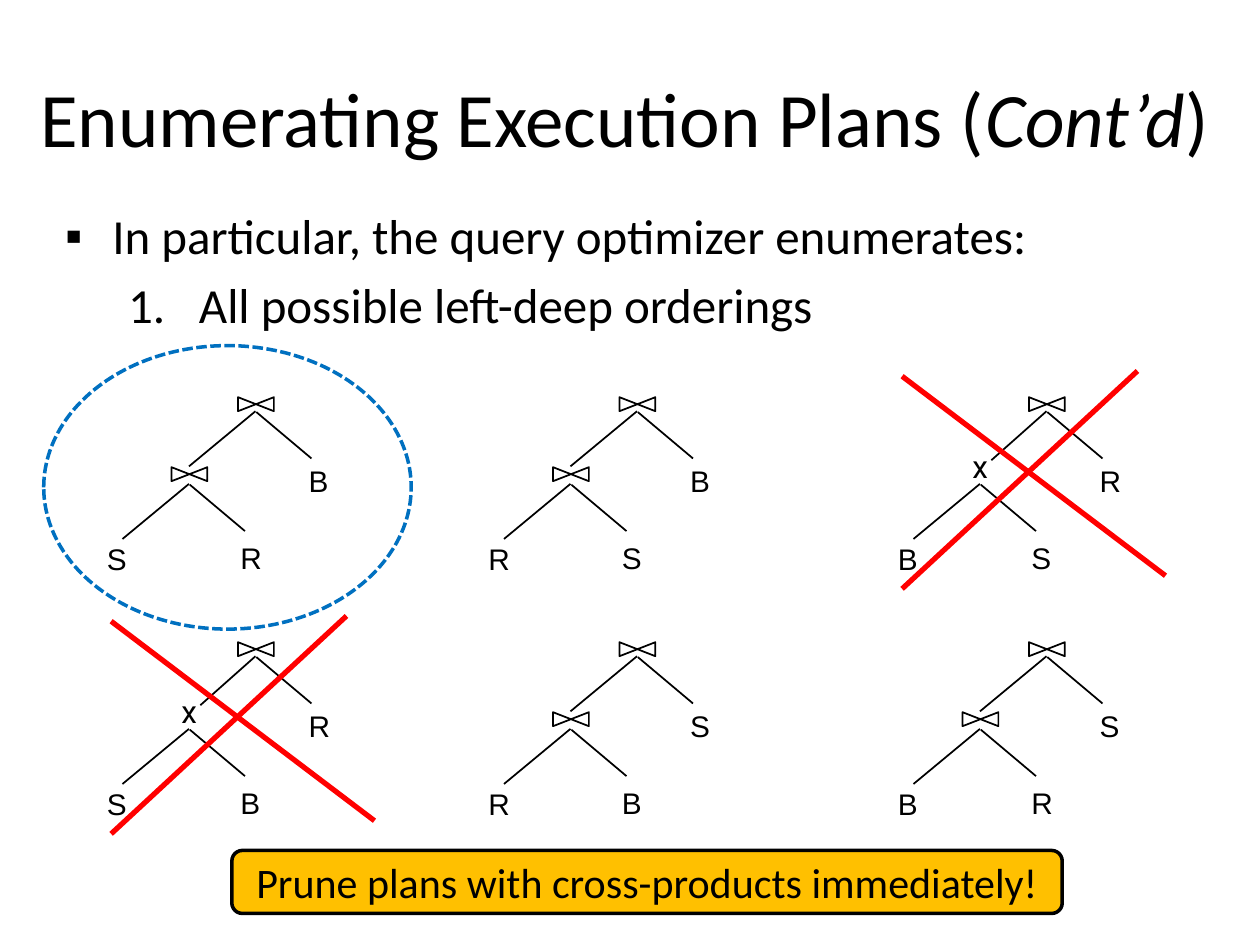
from dataclasses import dataclass

from lxml import etree
from pptx import Presentation
from pptx.dml.color import RGBColor
from pptx.enum.dml import MSO_LINE
from pptx.enum.shapes import MSO_CONNECTOR, MSO_SHAPE
from pptx.enum.text import MSO_ANCHOR, PP_ALIGN
from pptx.oxml.ns import qn
from pptx.util import Pt

STRAIGHT = MSO_CONNECTOR.STRAIGHT
OVAL, ROUNDED = MSO_SHAPE.OVAL, MSO_SHAPE.ROUNDED_RECTANGLE
SYS_DASH = MSO_LINE.SQUARE_DOT
MIDDLE, CENTER = MSO_ANCHOR.MIDDLE, PP_ALIGN.CENTER


@dataclass(frozen=True)
class Theme:
    ink: RGBColor = RGBColor(0, 0, 0)
    reject: RGBColor = RGBColor(0xFF, 0, 0)
    chosen: RGBColor = RGBColor(0, 0x70, 0xC0)
    banner: RGBColor = RGBColor(0xFF, 0xC0, 0)
    text_font: str = "Calibri"
    leaf_font: str = "Arial"
    cross_font: str = "Roboto"
    title: int = 44
    body: int = 28
    note: int = 24
    leaf: int = 17
    cross: int = 18


T = Theme()

COLUMNS = (54, 272, 506)
ROWS = (227, 367)
# Leaves: bottom left, bottom right, top right; then whether the lower node is a cross-product
PLANS = (
    ("SRB", False), ("RSB", False), ("BSR", True),
    ("SBR", True), ("RBS", False), ("BRS", False),
)
LEAF_SPOTS = ((0, 78.5), (76.3, 77.8), (115.2, 34))
BOWTIE_W, BOWTIE_H = 20.5, 8


def place(shape, box):
    for name, value in zip(("left", "top", "width", "height"), box):
        setattr(shape, name, Pt(value))


def add_run(p, text, size, font, **extra):
    r = p.add_run()
    r.text = text
    for name, value in {"size": Pt(size), "name": font, **extra}.items():
        setattr(r.font, name, value)
    r.font.color.rgb = T.ink


def set_line(shape, color, width):
    shape.line.color.rgb = color
    shape.line.width = Pt(width)


def add_line(s, x1, y1, x2, y2, color=T.ink, width=1):
    c = s.shapes.add_connector(STRAIGHT, Pt(x1), Pt(y1), Pt(x2), Pt(y2))
    set_line(c, color, width)
    etree.SubElement(c._element.spPr, qn("a:effectLst"))


def add_label(s, text, x, y, w, h, size, font):
    tf = s.shapes.add_textbox(Pt(x), Pt(y), Pt(w), Pt(h)).text_frame
    tf.word_wrap = False
    add_run(tf.paragraphs[0], text, size, font)


def add_bowtie(s, x, y):
    """Draw the join symbol with its top left corner at x, y."""
    right, bottom = Pt(x + BOWTIE_W), Pt(y + BOWTIE_H)
    builder = s.shapes.build_freeform(Pt(x), Pt(y))
    builder.add_line_segments([(right, bottom), (right, Pt(y)), (Pt(x), bottom)])
    shape = builder.convert_to_shape()
    shape.fill.background()
    shape.shadow.inherit = False
    set_line(shape, T.ink, 1)


def add_plan(s, x, y, leaves, is_cross):
    """Draw a left-deep plan whose box starts at x, y."""
    add_bowtie(s, x + 82, y)
    if is_cross:
        add_label(s, "x", x + 42.5, y + 25, 23, 29, T.cross, T.cross_font)
    else:
        add_bowtie(s, x + 44, y + 40)
    lower_end = (60.5, 36) if is_cross else (54, 39.5)
    edges = (
        (92, 8, *lower_end), (92.5, 8.5, 124, 35),
        (54, 49.5, 16, 81), (54.5, 50, 86, 76.5),
    )
    for x1, y1, x2, y2 in edges:
        add_line(s, x + x1, y + y1, x + x2, y + y2)
    for leaf, (dx, dy) in zip(leaves, LEAF_SPOTS):
        add_label(s, leaf, x + dx, y + dy, 26.5, 27.5, T.leaf, T.leaf_font)


def add_rejection(s, x, y):
    """Strike out the plan whose box starts at x, y."""
    add_line(s, x + 9.5, y - 12, x + 160, y + 102, T.reject, 3)
    add_line(s, x + 9.5, y + 109.5, x + 144, y - 15, T.reject, 3)


def add_plans(s):
    spots = [(x, y) for y in ROWS for x in COLUMNS]
    for (x, y), (leaves, is_cross) in zip(spots, PLANS):
        add_plan(s, x, y, leaves, is_cross)
        if is_cross:
            add_rejection(s, x, y)


def add_title(s, box):
    place(s.shapes.title, box)
    p = s.shapes.title.text_frame.paragraphs[0]
    for text, italic in (("Enumerating Execution Plans (", False), ("Cont’d", True), (")", False)):
        add_run(p, text, T.title, T.text_font, italic=italic)


def add_list(s, box):
    body = s.placeholders[1]
    place(body, box)
    tf = body.text_frame
    items = (
        ("In particular, the query optimizer enumerates:", 27, -27,
         "Arial", "a:buChar", {"char": "▪"}),
        ("All possible left-deep orderings", 76.5, -40.5,
         T.text_font, "a:buAutoNum", {"type": "arabicPeriod"}),
    )
    for level, (text, margin, indent, font, tag, mark) in enumerate(items):
        p = tf.paragraphs[0] if level == 0 else tf.add_paragraph()
        p.level = level
        add_run(p, text, T.body, T.text_font)
        pPr = p._p.get_or_add_pPr()
        pPr.set("marL", str(Pt(margin)))
        pPr.set("indent", str(Pt(indent)))
        etree.SubElement(pPr, qn("a:buFont"), typeface=font)
        etree.SubElement(pPr, qn(tag), mark)


def add_banner(s, box, text):
    shape = s.shapes.add_shape(ROUNDED, *map(Pt, box))
    shape.shadow.inherit = False
    shape.fill.solid()
    shape.fill.fore_color.rgb = T.banner
    set_line(shape, T.ink, 2)
    tf = shape.text_frame
    tf.vertical_anchor = MIDDLE
    p = tf.paragraphs[0]
    p.alignment = CENTER
    add_run(p, text, T.note, T.text_font)


def add_highlight(s, box):
    shape = s.shapes.add_shape(OVAL, *map(Pt, box))
    shape.shadow.inherit = False
    shape.fill.background()
    set_line(shape, T.chosen, 2)
    shape.line.dash_style = SYS_DASH


def main():
    prs = Presentation()
    prs.slide_width, prs.slide_height = Pt(720), Pt(540)
    s = prs.slides.add_slide(prs.slide_layouts[1])
    add_title(s, (6, 21.5, 702, 90))
    add_list(s, (30, 114, 667, 414))
    add_plans(s)
    add_banner(s, (132.5, 486, 474.5, 36), "Prune plans with cross-products immediately!")
    add_highlight(s, (25, 197.5, 210, 162))
    prs.save("out.pptx")


if __name__ == "__main__":
    main()
